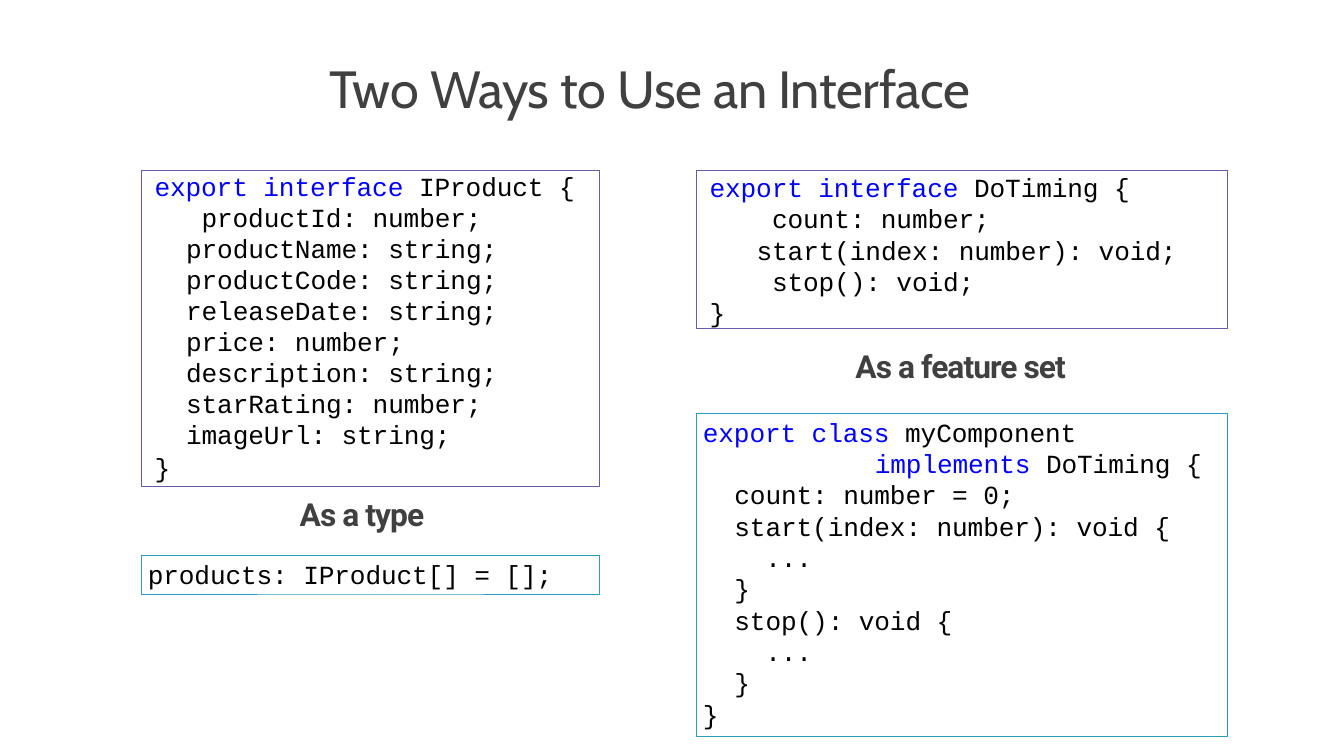
from dataclasses import dataclass
from itertools import groupby
from typing import NamedTuple, Optional

from pptx import Presentation
from pptx.dml.color import RGBColor
from pptx.enum.shapes import MSO_SHAPE
from pptx.enum.text import MSO_ANCHOR, MSO_AUTO_SIZE, PP_ALIGN
from pptx.util import Inches, Pt


@dataclass(frozen=True)
class Theme:
    """Fonts, type sizes and colours of the slide."""
    title_font: str = "Cabin"
    heading_font: str = "Roboto"
    code_font: str = "Courier New"
    title_size: int = 56
    heading_size: int = 34
    code_size: int = 28
    heading: str = "404040"
    code: str = "000000"
    keyword: str = "0000FF"
    definition: str = "675BA7"
    usage: str = "2A9FBC"


class Column(NamedTuple):
    """Left edge and width of a column, in inches."""
    left: float
    width: float


class CodeLine(NamedTuple):
    """A line of code, its indent in inches and extra space above in points."""
    text: str
    indent: float
    before: float = 0


@dataclass(frozen=True)
class CodeBox:
    """A framed listing; pitch is the line distance in points."""
    column: Column
    top: float
    height: float
    border: str
    inset: float
    pitch: Optional[float]
    lines: list[CodeLine]


class Heading(NamedTuple):
    """A caption between two listings."""
    text: str
    left: float
    top: float
    width: float


THEME = Theme()
KEYWORDS = {"export", "interface", "class", "implements"}
TYPE_COLUMN = Column(2.1, 6.82)
FEATURE_COLUMN = Column(10.36, 7.9)
FIELDS = ["productName: string;", "productCode: string;", "releaseDate: string;",
          "price: number;", "description: string;", "starRating: number;",
          "imageUrl: string;"]

HEADINGS = [
    Heading("As a type", 4.46, 7.36, 2.09),
    Heading("As a feature set", 12.73, 5.15, 3.52),
]

CODE_BOXES = [
    CodeBox(TYPE_COLUMN, 2.53, 4.71, THEME.definition, 0.01, 33.2, [
        CodeLine("export interface IProduct {", 0.2, 0.7),
        CodeLine("productId: number;", 0.9),
        *[CodeLine(field, 0.67) for field in FIELDS],
        CodeLine("}", 0.2, 2),
    ]),
    CodeBox(FEATURE_COLUMN, 2.53, 2.36, THEME.definition, 0.02, 33.6, [
        CodeLine("export interface DoTiming {", 0.2, 1.5),
        CodeLine("count: number;", 1.13),
        CodeLine("start(index: number): void;", 0.9),
        CodeLine("stop(): void;", 1.13),
        CodeLine("}", 0.2),
    ]),
    CodeBox(TYPE_COLUMN, 8.27, 0.57, THEME.usage, 0.04, None, [
        CodeLine("products: IProduct[] = [];", 0.1, 2.5),
    ]),
    CodeBox(FEATURE_COLUMN, 6.15, 4.81, THEME.usage, 0.04, 33.6, [
        CodeLine("export class myComponent", 0.1, 2.5),
        CodeLine("implements DoTiming {", 2.66),
        CodeLine("count: number = 0;", 0.57),
        CodeLine("start(index: number): void {", 0.57),
        CodeLine("...", 1.03),
        CodeLine("}", 0.57),
        CodeLine("stop(): void {", 0.57),
        CodeLine("...", 1.03),
        CodeLine("}", 0.57),
        CodeLine("}", 0.1),
    ]),
]


def prepare_frame(text_frame, inset: float, wrap: bool = True) -> None:
    """Anchor text at the top left with only a top inset."""
    text_frame.auto_size = MSO_AUTO_SIZE.NONE
    text_frame.word_wrap = wrap
    text_frame.vertical_anchor = MSO_ANCHOR.TOP
    text_frame.margin_left = text_frame.margin_right = text_frame.margin_bottom = 0
    text_frame.margin_top = Inches(inset)


def format_run(run, font: str, size: int, color: str, tracking: float,
               bold: bool = False) -> None:
    """Set font, size, colour and letter spacing of a run."""
    run.font.name = font
    run.font.size = Pt(size)
    run.font.bold = bold
    run.font.color.rgb = RGBColor.from_string(color)
    run._r.get_or_add_rPr().set("spc", str(round(tracking * 100)))


def set_caption(shape, text: str, font: str, size: int, tracking: float,
                bold: bool) -> None:
    """Write a one-line title or heading into a shape."""
    prepare_frame(shape.text_frame, 0.01, wrap=False)
    shape.text_frame.text = text
    paragraph = shape.text_frame.paragraphs[0]
    paragraph.alignment = PP_ALIGN.LEFT
    paragraph.space_before = Pt(1)
    paragraph.line_spacing = 1.0
    format_run(paragraph.runs[0], font, size, THEME.heading, tracking, bold)


def write_code(paragraph, line: CodeLine, pitch: Optional[float]) -> None:
    """Write one line of code with its keywords coloured."""
    paragraph.alignment = PP_ALIGN.LEFT
    paragraph.space_before = Pt(line.before)
    if pitch:
        paragraph.line_spacing = Pt(pitch)
    properties = paragraph._p.get_or_add_pPr()
    properties.set("marL", str(Inches(line.indent)))
    properties.set("indent", "0")
    words = line.text.replace(" ", " \n").split("\n")
    for is_keyword, group in groupby(words, lambda word: word.strip() in KEYWORDS):
        run = paragraph.add_run()
        run.text = "".join(group)
        color = THEME.keyword if is_keyword else THEME.code
        format_run(run, THEME.code_font, THEME.code_size, color, -0.1)


def add_code_box(slide, box: CodeBox) -> None:
    """Draw a framed listing."""
    shape = slide.shapes.add_shape(
        MSO_SHAPE.RECTANGLE, Inches(box.column.left), Inches(box.top),
        Inches(box.column.width), Inches(box.height))
    shape.shadow.inherit = False
    shape.fill.background()
    shape.line.color.rgb = RGBColor.from_string(box.border)
    shape.line.width = Pt(0.75)
    prepare_frame(shape.text_frame, box.inset)
    for number, line in enumerate(box.lines):
        paragraph = (shape.text_frame.add_paragraph() if number
                     else shape.text_frame.paragraphs[0])
        write_code(paragraph, line, box.pitch)


def main() -> None:
    """Build and save the slide."""
    presentation = Presentation()
    presentation.slide_width, presentation.slide_height = Inches(20), Inches(11.25)
    slide = presentation.slides.add_slide(presentation.slide_layouts[5])
    title = slide.shapes.title
    title.left, title.top = Inches(4.9), Inches(0.82)
    title.width, title.height = Inches(10.21), Inches(0.96)
    set_caption(title, "Two Ways to Use an Interface", THEME.title_font,
                THEME.title_size, -0.4, False)
    for heading in HEADINGS:
        shape = slide.shapes.add_textbox(Inches(heading.left), Inches(heading.top),
                                         Inches(heading.width), Inches(0.59))
        set_caption(shape, heading.text, THEME.heading_font,
                    THEME.heading_size, -1, True)
    for box in CODE_BOXES:
        add_code_box(slide, box)
    presentation.save("out.pptx")


main()
